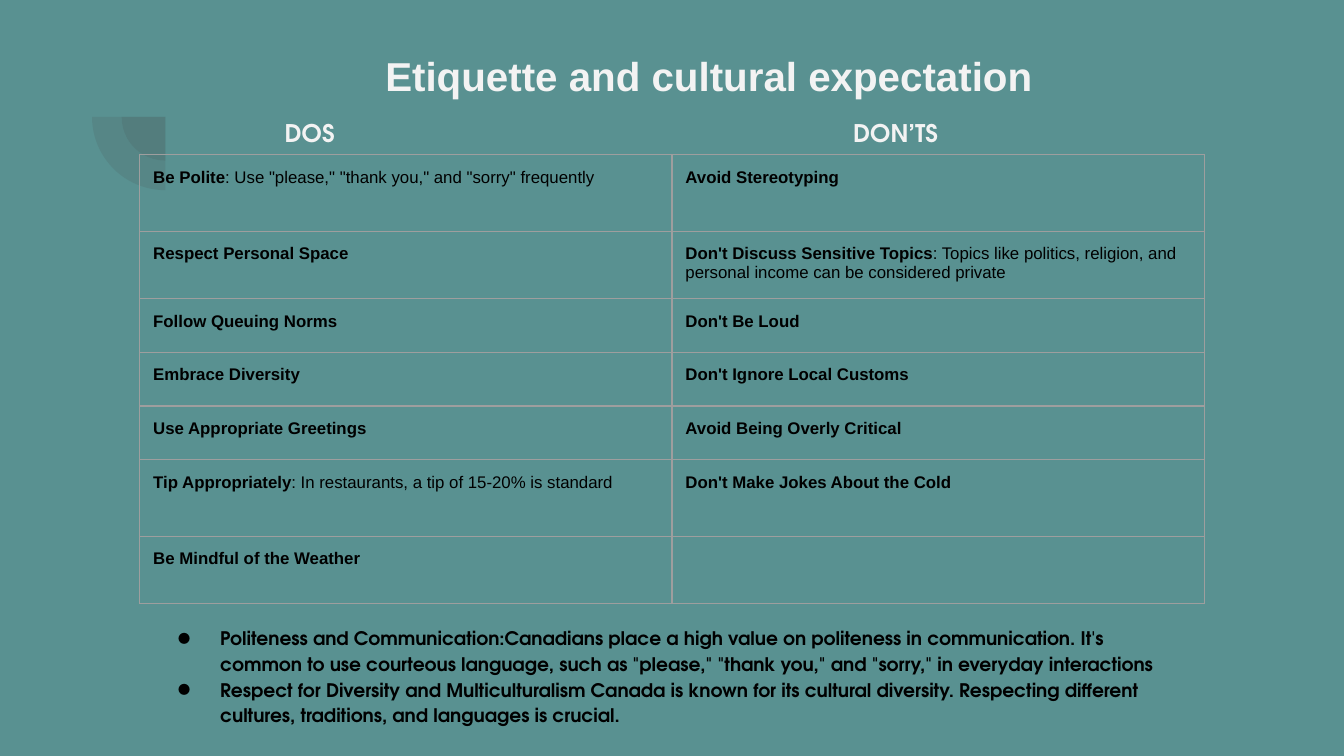
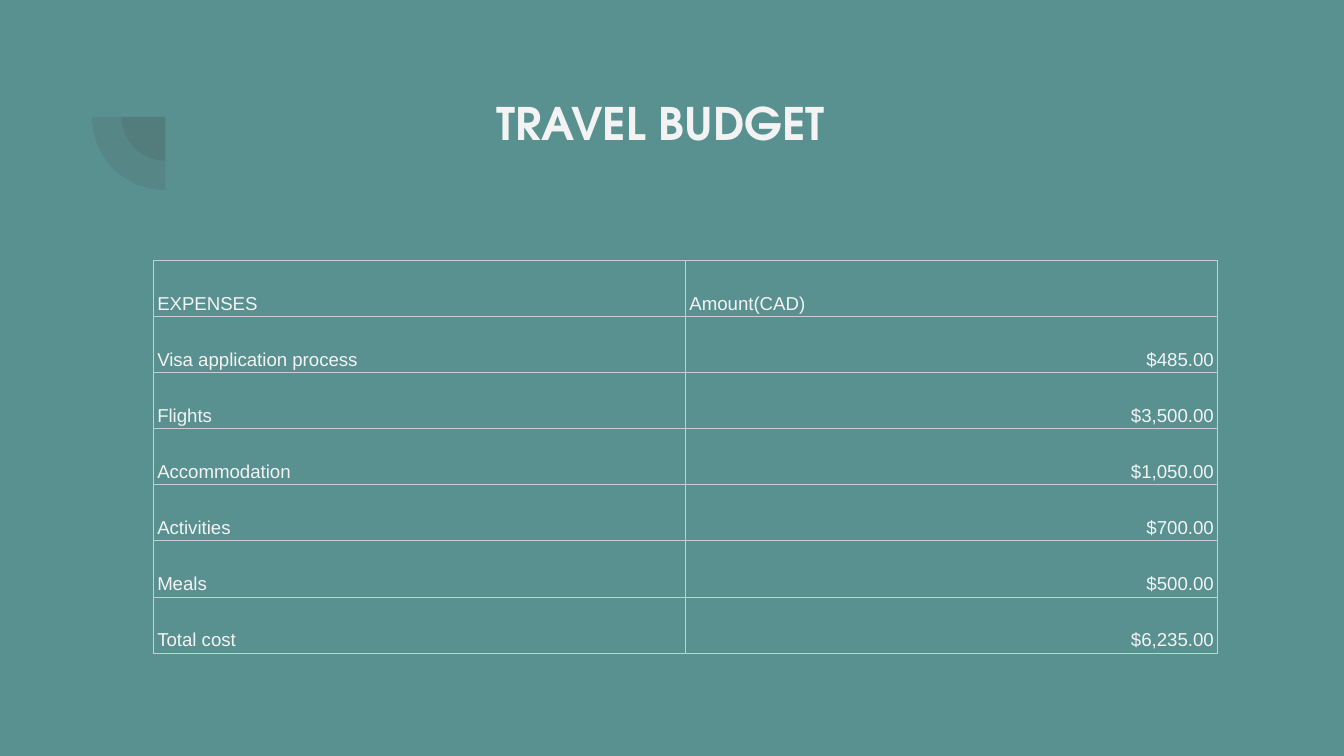
from lxml.etree import SubElement
from pptx import Presentation
from pptx.dml.color import RGBColor
from pptx.enum.shapes import MSO_SHAPE
from pptx.enum.text import MSO_ANCHOR, PP_ALIGN
from pptx.oxml import parse_xml
from pptx.oxml.ns import nsdecls, qn
from pptx.util import Inches, Pt

HUES = {"back": "599191", "pie": "424242", "light": "F3F3F3",
        "dark": "000000", "grid": "9E9E9E", "rule": "CCCCCC"}
SANS, GEO = "Arial", "TeX Gyre Adventor"

FONTS = {
    "title": ({"name": SANS, "size": Pt(21.6), "bold": True}, "light"),
    "banner": ({"name": GEO, "size": Pt(24), "bold": True}, "light"),
    "head": ({"name": GEO, "size": Pt(13), "bold": True}, "light"),
    "note": ({"name": GEO, "size": Pt(10), "bold": True}, "dark"),
    "strong": ({"name": SANS, "size": Pt(9), "bold": True}, "dark"),
    "plain": ({"name": SANS, "size": Pt(9), "bold": False}, "dark"),
    "cost": ({"name": SANS, "size": Pt(10), "bold": False}, "light"),
}

HEADS = [("DOS", 2.02), ("DON’TS", 6.25)]
RULES = [
    (("Be Polite", ": Use \"please,\" \"thank you,\" and \"sorry\" frequently"),
     ("Avoid Stereotyping",)),
    (("Respect Personal Space",),
     ("Don't Discuss Sensitive Topics",
      ": Topics like politics, religion, and personal income can be considered private")),
    (("Follow Queuing Norms",), ("Don't Be Loud",)),
    (("Embrace Diversity",), ("Don't Ignore Local Customs",)),
    (("Use Appropriate Greetings",), ("Avoid Being Overly Critical",)),
    (("Tip Appropriately", ": In restaurants, a tip of 15-20% is standard"),
     ("Don't Make Jokes About the Cold",)),
    (("Be Mindful of the Weather",), ()),
]
HEIGHTS = [0.57, 0.4, 0.4, 0.4, 0.4, 0.57, 0.4]
NOTES = [
    "Politeness and Communication:Canadians place a high value on politeness in "
    "communication. It's common to use courteous language, such as \"please,\" "
    "\"thank you,\" and \"sorry,\" in everyday interactions",
    "Respect for Diversity and Multiculturalism Canada is known for its cultural "
    "diversity. Respecting different cultures, traditions, and languages is crucial.",
]
COSTS = [
    ("EXPENSES", "Amount(CAD)"),
    ("Visa application process", "$485.00"),
    ("Flights", "$3,500.00"),
    ("Accommodation", "$1,050.00"),
    ("Activities", "$700.00"),
    ("Meals", "$500.00"),
    ("Total cost", "$6,235.00"),
]


def rgb(hue):
    return RGBColor.from_string(HUES[hue])


def apply(item, values):
    for key, value in values.items():
        setattr(item, key, value)


def margins(side, end):
    return {"margin_left": Inches(side), "margin_right": Inches(side),
            "margin_top": Inches(end), "margin_bottom": Inches(end)}


def write(para, text, font):
    run = para.add_run()
    run.text = text
    values, hue = FONTS[font]
    apply(run.font, values)
    run.font.color.rgb = rgb(hue)


def add_text(slide, box, lines, font, align=PP_ALIGN.LEFT):
    frame = slide.shapes.add_textbox(*map(Inches, box)).text_frame
    apply(frame, {"word_wrap": True, **margins(0.1, 0.1)})
    for i, line in enumerate(lines):
        para = frame.add_paragraph() if i else frame.paragraphs[0]
        para.alignment = align
        write(para, line, font)
    return frame


def add_dots(frame):
    for para in frame.paragraphs:
        para.line_spacing = 1.15
        props = para._p.get_or_add_pPr()
        props.set("marL", str(Inches(0.5)))
        props.set("indent", str(Inches(-0.32)))
        tint = SubElement(props, qn("a:buClr"))
        SubElement(tint, qn("a:srgbClr")).set("val", HUES["dark"])
        SubElement(props, qn("a:buFont")).set("typeface", GEO)
        SubElement(props, qn("a:buChar")).set("char", "●")


def add_grid(slide, left, top, heights, hue, width):
    frame = slide.shapes.add_table(len(heights), 2, Inches(left), Inches(top),
                                   Inches(7.92), Inches(sum(heights)))
    table = frame.table
    apply(table, {"first_row": False, "horz_banding": False})
    for col in table.columns:
        col.width = Inches(3.96)
    for row, height in zip(table.rows, heights):
        row.height = Inches(height)
    for cell in table.iter_cells():
        cell.fill.background()
        props = cell._tc.get_or_add_tcPr()
        for i, side in enumerate("LRTB"):
            props.insert(i, parse_xml(
                f'<a:ln{side} {nsdecls("a")} w="{Pt(width)}"><a:solidFill>'
                f'<a:srgbClr val="{HUES[hue]}"/></a:solidFill></a:ln{side}>'))
    return table


def add_slide(deck):
    slide = deck.slides.add_slide(deck.slide_layouts[6])
    fill = slide.background.fill
    fill.solid()
    fill.fore_color.rgb = rgb("back")
    for size in (0.65, 1.09):
        pie = slide.shapes.add_shape(
            MSO_SHAPE.PIE, Inches(1.23 - size / 2), Inches(0.87 - size / 2),
            Inches(size), Inches(size))
        pie.adjustments[0], pie.adjustments[1] = 108, 162
        pie.rotation = 270
        pie.shadow.inherit = False
        pie.line.fill.background()
        pie.fill.solid()
        pie.fill.fore_color.rgb = rgb("pie")
        tint = pie._element.spPr.find(qn("a:solidFill"))[0]
        SubElement(tint, qn("a:alpha")).set("val", "13000")
    return slide


def add_customs(deck):
    slide = add_slide(deck)
    add_text(slide, (1.43, 0.28, 7.69, 0.5), ["Etiquette and cultural expectation"],
             "title", PP_ALIGN.CENTER)
    add_dots(add_text(slide, (1.04, 4.54, 7.69, 0.67), NOTES, "note"))
    table = add_grid(slide, 1.04, 1.15, HEIGHTS, "grid", 0.75)
    for r, row in enumerate(RULES):
        for c, parts in enumerate(row):
            cell = table.cell(r, c)
            apply(cell, margins(0.1, 0.1))
            for text, font in zip(parts, ("strong", "plain")):
                write(cell.text_frame.paragraphs[0], text, font)
    for text, left in HEADS:
        add_text(slide, (left, 0.78, 1.32, 0.36), [text], "head")


def add_budget(deck):
    slide = add_slide(deck)
    add_text(slide, (2.01, 0.61, 5.81, 0.75), ["TRAVEL BUDGET"],
             "banner", PP_ALIGN.CENTER)
    table = add_grid(slide, 1.14, 1.94, [2.92 / 7] * len(COSTS), "rule", 0.5)
    for r, row in enumerate(COSTS):
        for c, text in enumerate(row):
            cell = table.cell(r, c)
            apply(cell, {"vertical_anchor": MSO_ANCHOR.BOTTOM, **margins(0.03, 0.02)})
            para = cell.text_frame.paragraphs[0]
            apply(para, {"line_spacing": 1.15,
                         "alignment": PP_ALIGN.RIGHT if r and c else PP_ALIGN.LEFT})
            write(para, text, "cost")


def main():
    deck = Presentation()
    apply(deck, {"slide_width": Inches(10), "slide_height": Inches(10 * 9 / 16)})
    add_customs(deck)
    add_budget(deck)
    deck.save("out.pptx")


if __name__ == "__main__":
    main()
